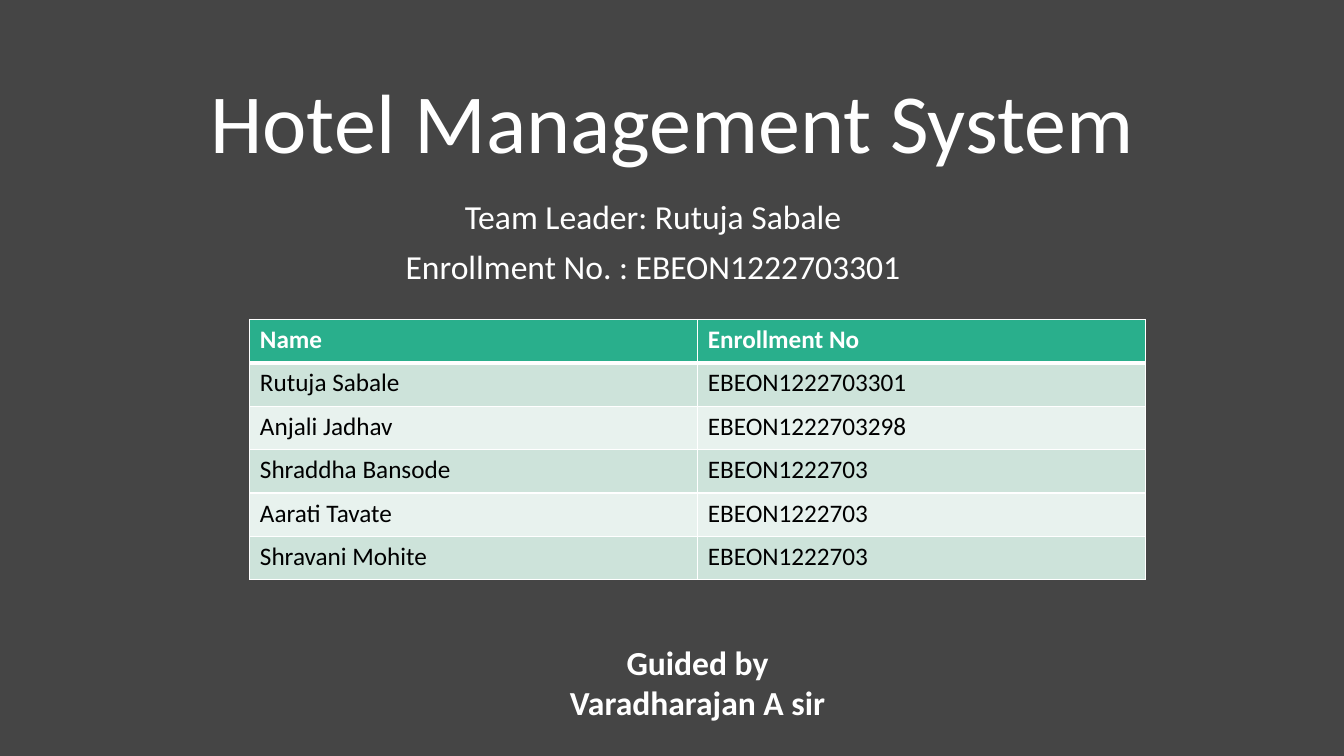
import pptx
import pptx.util
import pptx.dml.color
import pptx.enum.text
import pptx.oxml
import pptx.oxml.ns

Pt = pptx.util.Pt
FONT = "Calibri"
WHITE, BLACK, GREY = "FFFFFF", "000000", "454545"
HEAD, BANDS = "29AF8C", ("CDE3DA", "E8F2EE")
TEAM = [
    ("Name", "Enrollment No"),
    ("Rutuja Sabale", "EBEON1222703301"),
    ("Anjali Jadhav", "EBEON1222703298"),
    ("Shraddha Bansode", "EBEON1222703"),
    ("Aarati Tavate", "EBEON1222703"),
    ("Shravani Mohite", "EBEON1222703"),
]


def paint(color, code):
    color.rgb = pptx.dml.color.RGBColor.from_string(code)


def fill(target, code):
    target.solid()
    paint(target.fore_color, code)


def write(para, text, size, code=WHITE, bold=False):
    run = para.add_run()
    run.text = text
    run.font.name = FONT
    run.font.size = Pt(size)
    run.font.bold = bold
    paint(run.font.color, code)


def place(shape, box):
    shape.left, shape.top, shape.width, shape.height = map(Pt, box)


def add_lines(shape, lines, size, bold=False, space=0, pitch=1.0, anchor="TOP"):
    """Centred paragraphs, one for each line."""
    frame = shape.text_frame
    frame.word_wrap = True
    frame.auto_size = pptx.enum.text.MSO_AUTO_SIZE.NONE
    frame.vertical_anchor = pptx.enum.text.MSO_ANCHOR[anchor]
    for i, line in enumerate(lines):
        para = frame.add_paragraph() if i else frame.paragraphs[0]
        para.alignment = pptx.enum.text.PP_ALIGN.CENTER
        para.line_spacing = pitch
        para.space_before = Pt(space)
        write(para, line, size, bold=bold)


def edge(cell, widths):
    """White cell borders; widths run left, right, top, bottom."""
    props = cell._tc.get_or_add_tcPr()
    for i, (side, width) in enumerate(zip("LRTB", widths)):
        props.insert(i, pptx.oxml.parse_xml(
            f'<a:ln{side} {pptx.oxml.ns.nsdecls("a")} w="{Pt(width)}">'
            f'<a:solidFill><a:srgbClr val="{WHITE}"/></a:solidFill></a:ln{side}>'))


# Title and team leader
def add_head(slide, box):
    left, top, width, height = box
    title, sub = slide.placeholders
    place(title, box)
    add_lines(title, ["Hotel Management System"], 60, pitch=0.9, anchor="BOTTOM")
    place(sub, (left - 13.5, top + height + 13.5, width, 268.5))
    add_lines(sub, ["Team Leader: Rutuja Sabale", "Enrollment No. : EBEON1222703301"],
              24, space=10, pitch=0.9)


# Team table
def add_team(slide, box):
    frame = slide.shapes.add_table(len(TEAM), len(TEAM[0]), *map(Pt, box))
    for r, row in enumerate(TEAM):
        for c, text in enumerate(row):
            cell = frame.table.cell(r, c)
            fill(cell.fill, BANDS[(r - 1) % 2] if r else HEAD)
            edge(cell, (1, 1, 3 if r == 1 else 1, 1 if r else 3))
            write(cell.text_frame.paragraphs[0], text, 18,
                  BLACK if r else WHITE, bold=r == 0)


# Guide
def add_guide(slide, box):
    guide = slide.shapes.add_textbox(*map(Pt, box))
    add_lines(guide, ["Guided by", "Varadharajan A sir"], 24, bold=True)


def main():
    deck = pptx.Presentation()
    deck.slide_width, deck.slide_height = Pt(960), Pt(540)
    slide = deck.slides.add_slide(deck.slide_layouts[0])
    fill(slide.background.fill, GREY)
    add_head(slide, (120, 31.5, 720, 94.5))
    add_guide(slide, (337, 455, 322.5, 94.5))
    add_team(slide, (178.5, 228.25, 640, 186))
    deck.save("out.pptx")


if __name__ == "__main__":
    main()
